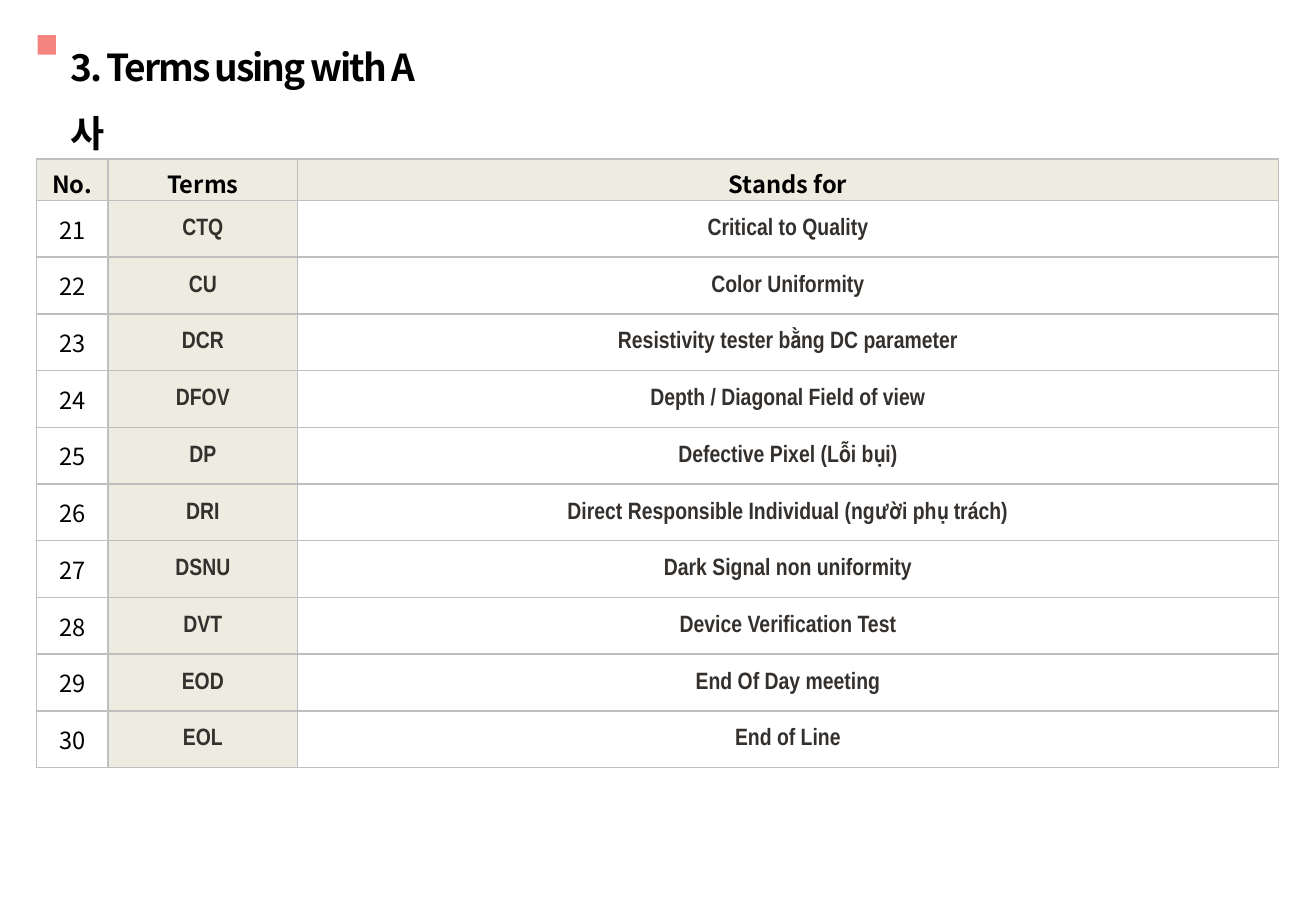
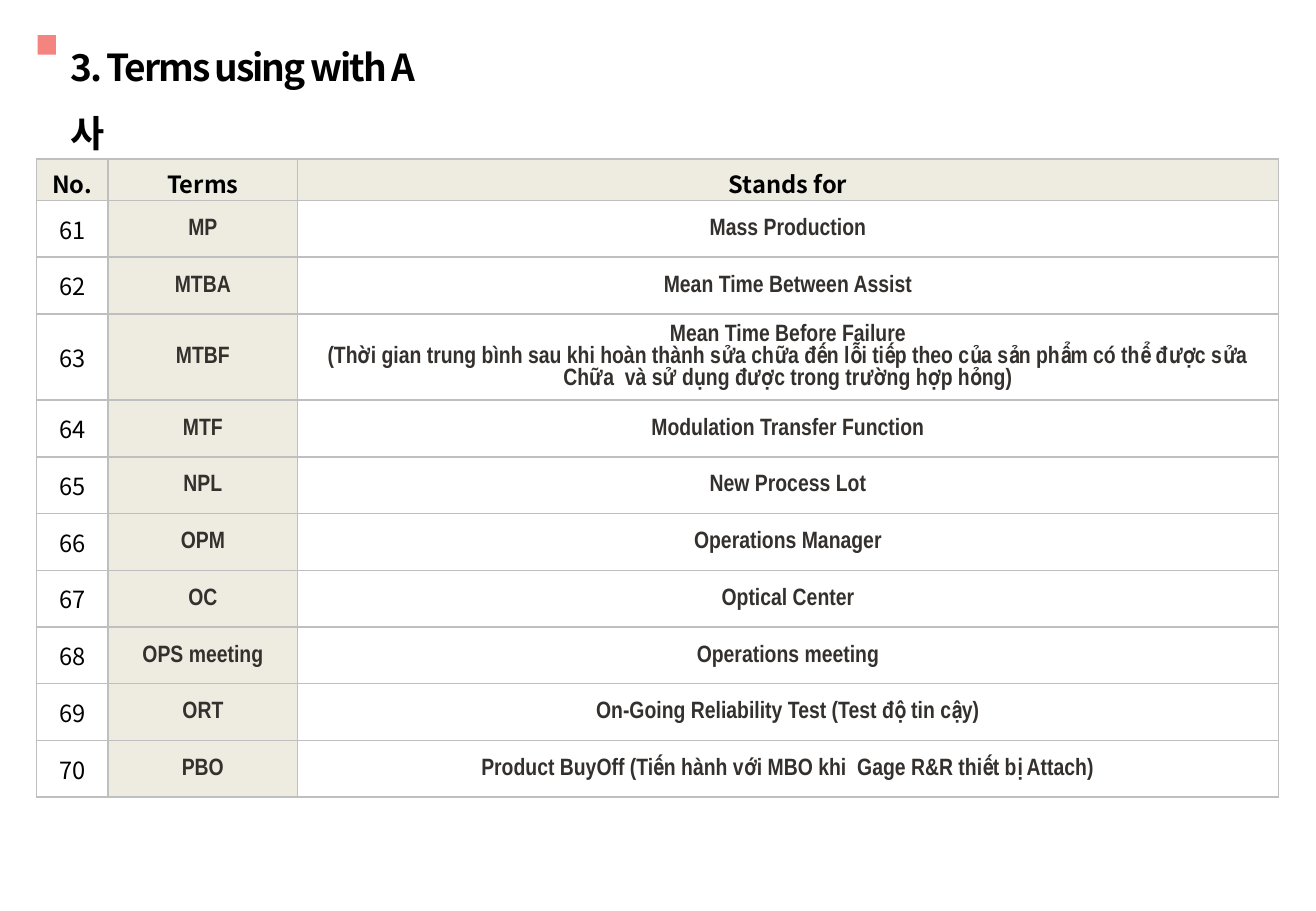
from dataclasses import dataclass

from lxml import etree
from pptx import Presentation
from pptx.dml.color import RGBColor
from pptx.enum.shapes import MSO_SHAPE
from pptx.enum.text import MSO_ANCHOR, MSO_AUTO_SIZE, PP_ALIGN
from pptx.oxml.ns import qn
from pptx.util import Inches, Pt

RECTANGLE = MSO_SHAPE.RECTANGLE
MIDDLE = MSO_ANCHOR.MIDDLE
LEFT, CENTER = PP_ALIGN.LEFT, PP_ALIGN.CENTER
GROW_SHAPE = MSO_AUTO_SIZE.SHAPE_TO_FIT_TEXT

COLORS = {
    "marker": "F38480",
    "band": "EEECE1",
    "border": "BFBFBF",
    "ink": "000000",
    "term": "34302D",
}
HEADING_FONT = "Noto Sans CJK KR"
TERM_FONT = "Arial Narrow"

SLIDE_SIZE = (10.83, 7.5)
TITLE = "3. Terms using with A사"
HEADERS = ("No.", "Terms", "Stands for")
TABLE_LEFT, TABLE_TOP = 0.3, 1.31
COLUMN_WIDTHS = (0.59, 1.56, 8.07)
HEADER_HEIGHT = 0.34
ROW_HEIGHT = (5.01 - HEADER_HEIGHT) / 10
TALL_ROW_HEIGHT = 0.71


@dataclass(frozen=True)
class Term:
    name: str
    meaning: str
    height: float = ROW_HEIGHT


@dataclass(frozen=True)
class Glossary:
    first_number: int
    terms: tuple[Term, ...]


@dataclass(frozen=True)
class CellStyle:
    """Insets run left, top, right, bottom."""
    font: str = HEADING_FONT
    color: str = "ink"
    bold: bool = False
    band: bool = False
    insets: tuple[float, ...] = (0.1, 0.05, 0.1, 0.05)


TERM_INSETS = (0.01, 0.01, 0.01, 0)
HEADER_STYLE = CellStyle(bold=True, band=True, insets=(0.1, 0.05, 0.1, 0))
BODY_STYLES = (
    CellStyle(),
    CellStyle(TERM_FONT, "term", bold=True, band=True, insets=TERM_INSETS),
    CellStyle(TERM_FONT, "term", bold=True, insets=TERM_INSETS),
)

GLOSSARIES = (
    Glossary(21, (
        Term("CTQ", "Critical to Quality"),
        Term("CU", "Color Uniformity"),
        Term("DCR", "Resistivity tester bằng DC parameter"),
        Term("DFOV", "Depth / Diagonal Field of view"),
        Term("DP", "Defective Pixel (Lỗi bụi)"),
        Term("DRI", "Direct Responsible Individual (người phụ trách)"),
        Term("DSNU", "Dark Signal non uniformity"),
        Term("DVT", "Device Verification Test"),
        Term("EOD", "End Of Day meeting"),
        Term("EOL", "End of Line"),
    )),
    Glossary(61, (
        Term("MP", "Mass Production"),
        Term("MTBA", "Mean Time Between Assist"),
        Term("MTBF",
             "Mean Time Before Failure\v(Thời gian trung bình sau khi hoàn thành "
             "sửa chữa đến lỗi tiếp theo của sản phẩm có thể được sửa\n"
             "Chữa  và sử dụng được trong trường hợp hỏng)", TALL_ROW_HEIGHT),
        Term("MTF", "Modulation Transfer Function"),
        Term("NPL", "New Process Lot"),
        Term("OPM", "Operations Manager"),
        Term("OC", "Optical Center"),
        Term("OPS meeting", "Operations meeting"),
        Term("ORT", "On-Going Reliability Test (Test độ tin cậy)"),
        Term("PBO", "Product BuyOff (Tiến hành với MBO khi  Gage R&R thiết bị Attach)"),
    )),
)


def write_text(frame, text: str, *, size: float, font: str, color: str, bold: bool,
               align=LEFT, line_spacing: float | None = None,
               tracking: float = 0) -> None:
    """Fill a text frame; tracking is letter spacing in points."""
    frame.text = text
    for paragraph in frame.paragraphs:
        paragraph.alignment = align
        if line_spacing:
            paragraph.line_spacing = line_spacing
        for run in paragraph.runs:
            run.font.size = Pt(size)
            run.font.bold = bold
            run.font.color.rgb = RGBColor.from_string(COLORS[color])
            run.font.name = font
            properties = run._r.get_or_add_rPr()
            etree.SubElement(properties, qn("a:ea"), typeface=font)
            if tracking:
                properties.set("spc", str(round(tracking * 100)))


def add_borders(cell) -> None:
    properties = cell._tc.get_or_add_tcPr()
    for side in ("lnL", "lnR", "lnT", "lnB"):
        line = etree.SubElement(properties, qn(f"a:{side}"), w=str(Pt(1)))
        fill = etree.SubElement(line, qn("a:solidFill"))
        etree.SubElement(fill, qn("a:srgbClr"), val=COLORS["border"])


def fill_cell(cell, text: str, style: CellStyle) -> None:
    add_borders(cell)
    if style.band:
        cell.fill.solid()
        cell.fill.fore_color.rgb = RGBColor.from_string(COLORS["band"])
    else:
        cell.fill.background()
    cell.vertical_anchor = MIDDLE
    (cell.margin_left, cell.margin_top,
     cell.margin_right, cell.margin_bottom) = map(Inches, style.insets)
    write_text(cell.text_frame, text, size=14, font=style.font, color=style.color,
               bold=style.bold, align=CENTER)


def add_heading(slide) -> None:
    marker = slide.shapes.add_shape(
        RECTANGLE, Inches(0.31), Inches(0.29), Inches(0.15), Inches(0.16))
    marker.shadow.inherit = False
    marker.fill.solid()
    marker.fill.fore_color.rgb = RGBColor.from_string(COLORS["marker"])
    marker.line.fill.background()

    title = slide.shapes.add_textbox(
        Inches(0.48), Inches(0.13), Inches(3.15), Inches(0.6)).text_frame
    title.word_wrap = True
    title.auto_size = GROW_SHAPE
    write_text(title, TITLE, size=22, font=HEADING_FONT, color="ink", bold=True,
               line_spacing=1.5, tracking=-1.2)


def add_glossary(slide, glossary: Glossary) -> None:
    heights = [HEADER_HEIGHT, *(term.height for term in glossary.terms)]
    table = slide.shapes.add_table(
        len(heights), len(HEADERS), Inches(TABLE_LEFT), Inches(TABLE_TOP),
        Inches(sum(COLUMN_WIDTHS)), Inches(sum(heights))).table
    table.first_row = table.horz_banding = False
    for column, width in zip(table.columns, COLUMN_WIDTHS):
        column.width = Inches(width)
    for row, height in zip(table.rows, heights):
        row.height = Inches(height)

    for column, header in enumerate(HEADERS):
        fill_cell(table.cell(0, column), header, HEADER_STYLE)
    for row, term in enumerate(glossary.terms, start=1):
        number = str(glossary.first_number + row - 1)
        for column, text in enumerate((number, term.name, term.meaning)):
            fill_cell(table.cell(row, column), text, BODY_STYLES[column])


def main() -> None:
    deck = Presentation()
    deck.slide_width, deck.slide_height = map(Inches, SLIDE_SIZE)
    blank = deck.slide_layouts[6]
    for glossary in GLOSSARIES:
        slide = deck.slides.add_slide(blank)
        add_glossary(slide, glossary)
        add_heading(slide)
    deck.save("out.pptx")


if __name__ == "__main__":
    main()
